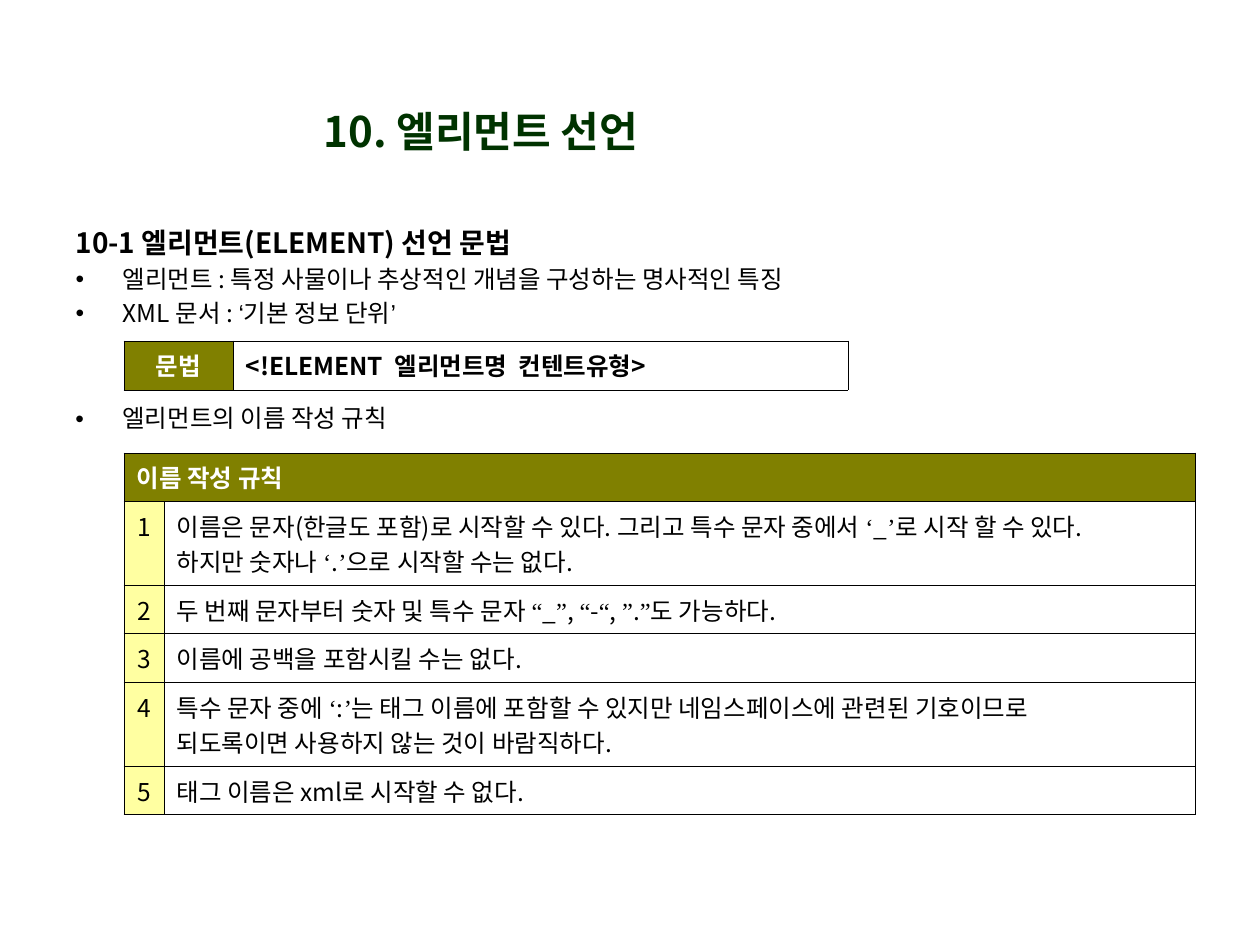
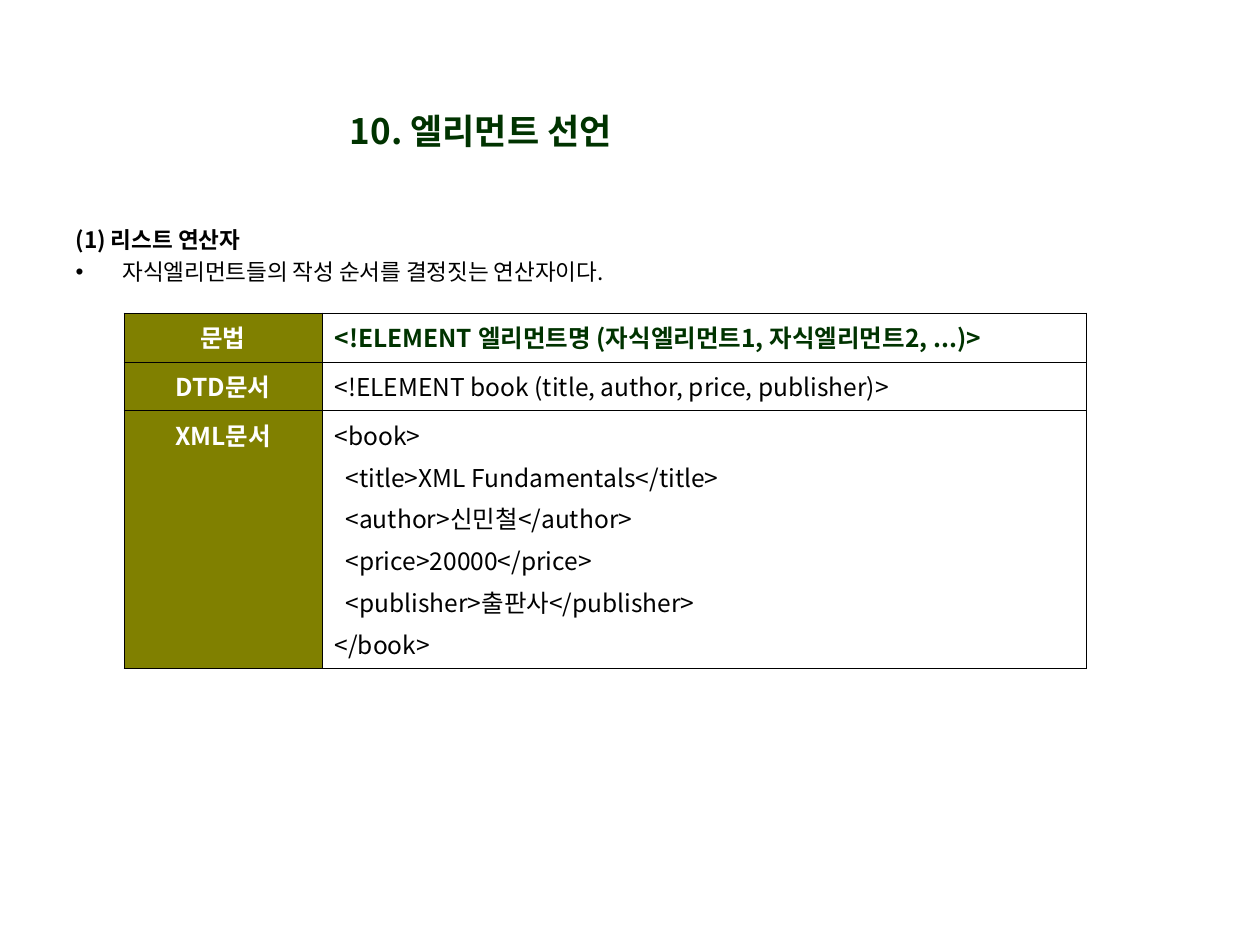
import itertools

import pptx
import pptx.dml.color
import pptx.enum.text
import pptx.oxml.ns
import pptx.util
from lxml import etree

PX = 914400 / 126
FONT = "Noto Sans CJK KR"
QUOTES = "‘’“”"
COLORS = {"title": "003300", "text": "000000", "header": "808000",
          "header_text": "FFFFFF", "number": "FFFFA1"}
ALIGN = pptx.enum.text.PP_ALIGN
ANCHOR = pptx.enum.text.MSO_ANCHOR


def px(n):
    return pptx.util.Emu(round(n * PX))


def place(sp, box):
    sp.left, sp.top, sp.width, sp.height = map(px, box)


def sub(parent, tag, **attrs):
    return etree.SubElement(parent, pptx.oxml.ns.qn(tag), attrs)


def write(p, text, size, color="text", bold=False, quote_font=FONT):
    """Fill a paragraph, giving curly quotes their own font."""
    for is_quote, chars in itertools.groupby(text, lambda c: c in QUOTES):
        r = p.add_run()
        r.text = "".join(chars)
        r.font.size = pptx.util.Pt(size)
        r.font.bold = bold
        r.font.color.rgb = pptx.dml.color.RGBColor.from_string(COLORS[color])
        r.font.name = quote_font if is_quote else FONT
        sub(r.font._element, "a:ea", typeface=r.font.name)


def add_paragraph(tf, index):
    return tf.paragraphs[0] if index == 0 else tf.add_paragraph()


def add_title(s, text, size):
    sp = s.shapes.title
    place(sp, (203, 96, 556, 69))
    tf = sp.text_frame
    tf.auto_size = pptx.enum.text.MSO_AUTO_SIZE.NONE
    tf.vertical_anchor = ANCHOR.MIDDLE
    p = tf.paragraphs[0]
    p.alignment = ALIGN.CENTER
    write(p, text, size, "title", True)


def fill_list(sp, box, items, size, heading=None, heading_size=None):
    """Write an optional bold heading and bulleted items below it."""
    place(sp, box)
    tf = sp.text_frame
    tf.word_wrap = True
    tf.auto_size = pptx.enum.text.MSO_AUTO_SIZE.NONE
    lines = [(heading, True)] if heading else []
    lines += [(item, False) for item in items]
    for i, (text, is_heading) in enumerate(lines):
        p = add_paragraph(tf, i)
        p.line_spacing = 0.96
        p.space_before = pptx.util.Pt(3.5 if i else 0)
        pPr = p._p.get_or_add_pPr()
        pPr.set("marL", str(px(47)))
        pPr.set("indent", str(-px(47)))
        if is_heading:
            sub(pPr, "a:buNone")
        else:
            sub(sub(pPr, "a:buClr"), "a:srgbClr", val=COLORS["text"])
            sub(pPr, "a:buFont", typeface="Arial")
            sub(pPr, "a:buChar", char="•")
        write(p, text, heading_size if is_heading else size,
              bold=is_heading, quote_font="Arial")


def add_grid(s, left, top, cols, rows):
    """Add an unfilled table with thin black borders."""
    shape = s.shapes.add_table(len(rows), len(cols), px(left), px(top),
                               px(sum(cols)), px(sum(rows)))
    table = shape.table
    table.first_row = table.horz_banding = False
    for col, width in zip(table.columns, cols):
        col.width = px(width)
    for row, height in zip(table.rows, rows):
        row.height = px(height)
    for cell in table.iter_cells():
        tcPr = cell._tc.get_or_add_tcPr()
        for side in "LRTB":
            ln = sub(tcPr, f"a:ln{side}", w=str(pptx.util.Pt(0.45)))
            sub(sub(ln, "a:solidFill"), "a:srgbClr", val=COLORS["text"])
        cell.fill.background()
    return table


def fill_cell(cell, text, color="text", bold=False, fill=None, center=False, gap=0):
    cell.margin_left = cell.margin_right = pptx.util.Inches(0.1)
    cell.margin_top = cell.margin_bottom = pptx.util.Inches(0.05)
    if fill:
        cell.fill.solid()
        cell.fill.fore_color.rgb = pptx.dml.color.RGBColor.from_string(COLORS[fill])
    for i, line in enumerate(text.split("\n")):
        p = add_paragraph(cell.text_frame, i)
        p.alignment = ALIGN.CENTER if center else ALIGN.LEFT
        p.space_before = pptx.util.Pt(gap if i else 0)
        write(p, line, 14, color, bold, "Times New Roman")


def add_syntax_table(s, left, top, cols, rows, entries, syntax_color="text"):
    """Add labelled rows, of which the first holds the syntax in bold."""
    table = add_grid(s, left, top, cols, rows)
    for i, (label, code) in enumerate(entries):
        fill_cell(table.cell(i, 0), label, "header_text", True, "header", True)
        fill_cell(table.cell(i, 1), code, "text" if i else syntax_color, i == 0, gap=3.5)


def add_rules_table(s, left, top, header, rules):
    rows = [48] + [84 if "\n" in rule else 48 for rule in rules]
    table = add_grid(s, left, top, (40, 1031), rows)
    table.cell(0, 0).merge(table.cell(0, 1))
    fill_cell(table.cell(0, 0), header, "header_text", True, "header")
    for i, rule in enumerate(rules, 1):
        fill_cell(table.cell(i, 0), str(i), fill="number", center=True)
        fill_cell(table.cell(i, 1), rule)


def build_element_slide(prs):
    s = prs.slides.add_slide(prs.slide_layouts[1])
    add_title(s, "10. 엘리먼트 선언", 24)
    fill_list(s.placeholders[1], (63, 221, 1143, 624),
              ["엘리먼트 : 특정 사물이나 추상적인 개념을 구성하는 명사적인 특징",
               "XML 문서 : ‘기본 정보 단위’"], 14,
              "10-1 엘리먼트(ELEMENT) 선언 문법", 16)
    add_syntax_table(s, 124, 341, (109, 615), (49,),
                     [("문법", "<!ELEMENT  엘리먼트명  컨텐트유형>")])
    naming = s.shapes.add_textbox(0, 0, 0, 0)
    fill_list(naming, (63, 399, 1133, 44), ["엘리먼트의 이름 작성 규칙"], 14)
    add_rules_table(s, 124, 453, "이름 작성 규칙", [
        "이름은 문자(한글도 포함)로 시작할 수 있다. 그리고 특수 문자 중에서 ‘_’로 시작 할 수 있다.\n"
        "하지만 숫자나 ‘.’으로 시작할 수는 없다.",
        "두 번째 문자부터 숫자 및 특수 문자 “_”, “-“, ”.”도 가능하다.",
        "이름에 공백을 포함시킬 수는 없다.",
        "특수 문자 중에 ‘:’는 태그 이름에 포함할 수 있지만 네임스페이스에 관련된 기호이므로\n"
        "되도록이면 사용하지 않는 것이 바람직하다.",
        "태그 이름은 xml로 시작할 수 없다."])


def build_list_operator_slide(prs):
    s = prs.slides.add_slide(prs.slide_layouts[1])
    add_title(s, "10. 엘리먼트 선언", 20)
    fill_list(s.placeholders[1], (63, 221, 1143, 73),
              ["자식엘리먼트들의 작성 순서를 결정짓는 연산자이다."], 12.9,
              "(1) 리스트 연산자", 12.9)
    book = """<book>
  <title>XML Fundamentals</title>
  <author>신민철</author>
  <price>20000</price>
  <publisher>출판사</publisher>
</book>"""
    add_syntax_table(s, 124, 313, (198, 764), (49, 48, 258), [
        ("문법", "<!ELEMENT 엘리먼트명 (자식엘리먼트1, 자식엘리먼트2, ...)>"),
        ("DTD문서", "<!ELEMENT book (title, author, price, publisher)>"),
        ("XML문서", book)], "title")


def main():
    prs = pptx.Presentation()
    prs.slide_width, prs.slide_height = px(1260), px(945)
    build_element_slide(prs)
    build_list_operator_slide(prs)
    prs.save("out.pptx")


if __name__ == "__main__":
    main()
